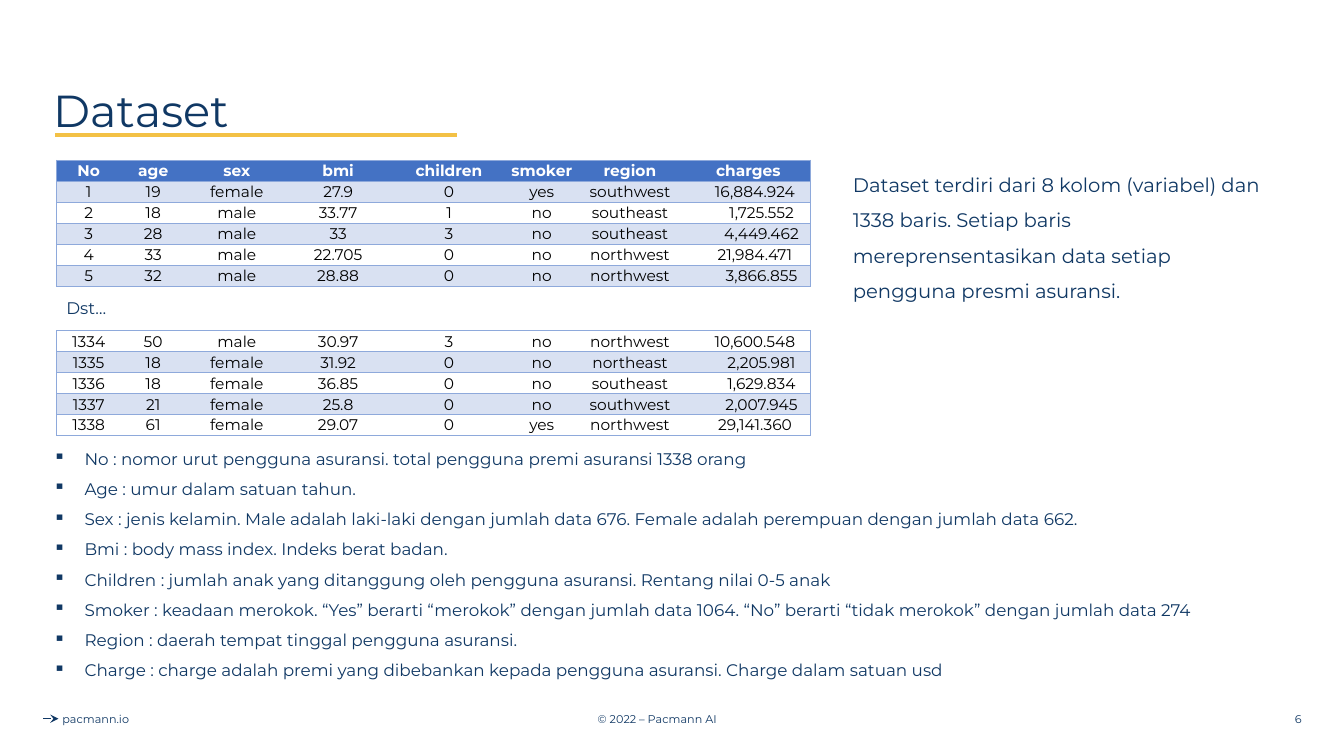
from lxml.etree import SubElement
from pptx import Presentation
from pptx.dml.color import RGBColor
from pptx.enum.shapes import MSO_CONNECTOR as Connector
from pptx.enum.text import MSO_ANCHOR as Anchor, MSO_AUTO_SIZE as Fit, PP_ALIGN as Align
from pptx.oxml.ns import qn
from pptx.util import Inches, Pt

COLORS = {
    "navy": "103864",
    "gold": "F3C145",
    "header": "4472C4",
    "band": "D9E1F2",
    "border": "8EA9DB",
    "white": "FFFFFF",
    "black": "000000",
}
PLAIN_TABLE = "{2D5ABB26-0587-4C30-8999-92F81FD0307C}"
COLUMN_WIDTHS = [0.64, 0.64, 1.02, 0.99, 1.21, 0.63, 1.12, 1.23]
HEADINGS = ["No", "age", "sex", "bmi", "children", "smoker", "region", "charges"]
FIRST_ROWS = [
    ["1", "19", "female", "27.9", "0", "yes", "southwest", "16,884.924"],
    ["2", "18", "male", "33.77", "1", "no", "southeast", "1,725.552"],
    ["3", "28", "male", "33", "3", "no", "southeast", "4,449.462"],
    ["4", "33", "male", "22.705", "0", "no", "northwest", "21,984.471"],
    ["5", "32", "male", "28.88", "0", "no", "northwest", "3,866.855"],
]
LAST_ROWS = [
    ["1334", "50", "male", "30.97", "3", "no", "northwest", "10,600.548"],
    ["1335", "18", "female", "31.92", "0", "no", "northeast", "2,205.981"],
    ["1336", "18", "female", "36.85", "0", "no", "southeast", "1,629.834"],
    ["1337", "21", "female", "25.8", "0", "no", "southwest", "2,007.945"],
    ["1338", "61", "female", "29.07", "0", "yes", "northwest", "29,141.360"],
]
SUMMARY = (
    "Dataset terdiri dari 8 kolom (variabel) dan 1338 baris. Setiap baris "
    "mereprensentasikan data setiap pengguna presmi asuransi."
)
VARIABLES = [
    "No : nomor urut pengguna asuransi. total pengguna premi asuransi 1338 orang",
    "Age : umur dalam satuan tahun.",
    "Sex : jenis kelamin. Male adalah laki-laki dengan jumlah data 676. "
    "Female adalah perempuan dengan jumlah data 662.",
    "Bmi : body mass index. Indeks berat badan.",
    "Children : jumlah anak yang ditanggung oleh pengguna asuransi. Rentang nilai 0-5 anak",
    "Smoker : keadaan merokok. “Yes” berarti “merokok” dengan jumlah data 1064. "
    "“No” berarti “tidak merokok” dengan jumlah data 274",
    "Region : daerah tempat tinggal pengguna asuransi.",
    "Charge : charge adalah premi yang dibebankan kepada pengguna asuransi. "
    "Charge dalam satuan usd",
]


def assign(target, values):
    for name, value in values.items():
        setattr(target, name, value)


class SlideBuilder:
    font = "Montserrat"

    def __init__(self, page):
        self.page = page

    def color(self, name):
        return RGBColor.from_string(COLORS[name])

    def style(self, span, size, color="navy", bold=False):
        assign(span.font, {"name": self.font, "size": Pt(size), "bold": bold})
        span.font.color.rgb = self.color(color)

    def solid(self, parent, color):
        fill = SubElement(parent, qn("a:solidFill"))
        SubElement(fill, qn("a:srgbClr"), val=COLORS[color])

    def bullet(self, para):
        props = para._p.get_or_add_pPr()
        props.set("marL", str(Inches(0.31)))
        props.set("indent", str(Inches(-0.31)))
        tint = SubElement(props, qn("a:buClr"))
        SubElement(tint, qn("a:srgbClr"), val=COLORS["navy"])
        SubElement(props, qn("a:buChar"), char="▪")

    def text(self, bounds, lines, size, anchor=Anchor.TOP, align=Align.LEFT,
             spacing=1.0, fit=Fit.NONE, bulleted=False):
        box = self.page.shapes.add_textbox(*map(Inches, bounds))
        frame = box.text_frame
        assign(frame, {"word_wrap": True, "auto_size": fit, "vertical_anchor": anchor})
        for index, line in enumerate(lines):
            para = frame.add_paragraph() if index else frame.paragraphs[0]
            if bulleted:
                self.bullet(para)
            assign(para, {"alignment": align, "line_spacing": spacing})
            span = para.add_run()
            span.text = line
            self.style(span, size)

    def line(self, left, right, y, color, width, arrow=False):
        rule = self.page.shapes.add_connector(
            Connector.STRAIGHT, Inches(left), Inches(y), Inches(right), Inches(y))
        rule.line.color.rgb = self.color(color)
        rule.line.width = Pt(width)
        props = rule.element.spPr
        if arrow:
            SubElement(props.find(qn("a:ln")), qn("a:tailEnd"), type="stealth")
        SubElement(props, qn("a:effectLst"))

    def borders(self, cell, sides):
        props = cell._tc.get_or_add_tcPr()
        for side in sides:
            edge = SubElement(props, qn(f"a:ln{side}"), w=str(Pt(0.5)))
            self.solid(edge, "border")

    def cell(self, cell, value, sides, fill, color, bold, indent):
        assign(cell, {
            "margin_left": Inches(0.01 + indent),
            "margin_right": Inches(0.01),
            "margin_top": Inches(0.01),
            "margin_bottom": 0,
            "vertical_anchor": Anchor.MIDDLE,
        })
        self.borders(cell, sides)
        if fill:
            cell.fill.solid()
            cell.fill.fore_color.rgb = self.color(fill)
        else:
            cell.fill.background()
        para = cell.text_frame.paragraphs[0]
        para.alignment = Align.CENTER
        span = para.add_run()
        span.text = value
        self.style(span, 11, color, bold)

    def table(self, bounds, records, headings=None):
        rows = ([headings] if headings else []) + records
        frame = self.page.shapes.add_table(
            len(rows), len(COLUMN_WIDTHS), *map(Inches, bounds))
        table = frame.table
        assign(table, {"first_row": bool(headings), "horz_banding": False})
        for style in frame.element.iter(qn("a:tableStyleId")):
            style.text = PLAIN_TABLE
        for column, width in zip(table.columns, COLUMN_WIDTHS):
            column.width = Inches(width)
        last = len(COLUMN_WIDTHS) - 1
        for r, values in enumerate(rows):
            table.rows[r].height = Inches(bounds[3] / len(rows))
            heading = values is headings
            fill = "header" if heading else "band" if r % 2 else None
            for c, value in enumerate(values):
                sides = ("L" if c == 0 else "") + ("R" if c == last else "") + "TB"
                indent = 0.13 * (11 - len(value)) if c == last and not heading else 0
                self.cell(table.cell(r, c), value, sides, fill,
                          "white" if heading else "black", heading, indent)


def main():
    deck = Presentation()
    assign(deck, {"slide_width": Inches(13.33), "slide_height": Inches(7.5)})
    slide = SlideBuilder(deck.slides.add_slide(deck.slide_layouts[6]))

    slide.line(0.43, 0.58, 7.13, "navy", 0.75, arrow=True)
    for left, width, label, align in [
        (4.27, 4.5, "© 2022 – Pacmann AI", Align.CENTER),
        (-1.3, 4.5, "pacmann.io", Align.CENTER),
        (10.01, 3, "6", Align.RIGHT),
    ]:
        slide.text((left, 6.93, width, 0.4), [label], 8, Anchor.MIDDLE, align)

    slide.line(0.55, 4.53, 1.34, "gold", 2.25)
    slide.text((0.43, 0.4, 12.47, 1.45), ["Dataset"], 32, Anchor.MIDDLE, spacing=0.9)
    slide.table((0.56, 1.59, 7.49, 1.25), FIRST_ROWS, HEADINGS)
    slide.table((0.56, 3.28, 7.49, 1.04), LAST_ROWS)

    grow = Fit.SHAPE_TO_FIT_TEXT
    slide.text((0.56, 2.9, 7.49, 0.3), ["Dst…"], 12, fit=grow)
    slide.text((8.36, 1.55, 4.41, 1.51), [SUMMARY], 14, spacing=1.5, fit=grow)
    slide.text((0.43, 4.3, 12.21, 2.52), VARIABLES, 12, spacing=1.5, fit=grow,
               bulleted=True)
    deck.save("out.pptx")


if __name__ == "__main__":
    main()
